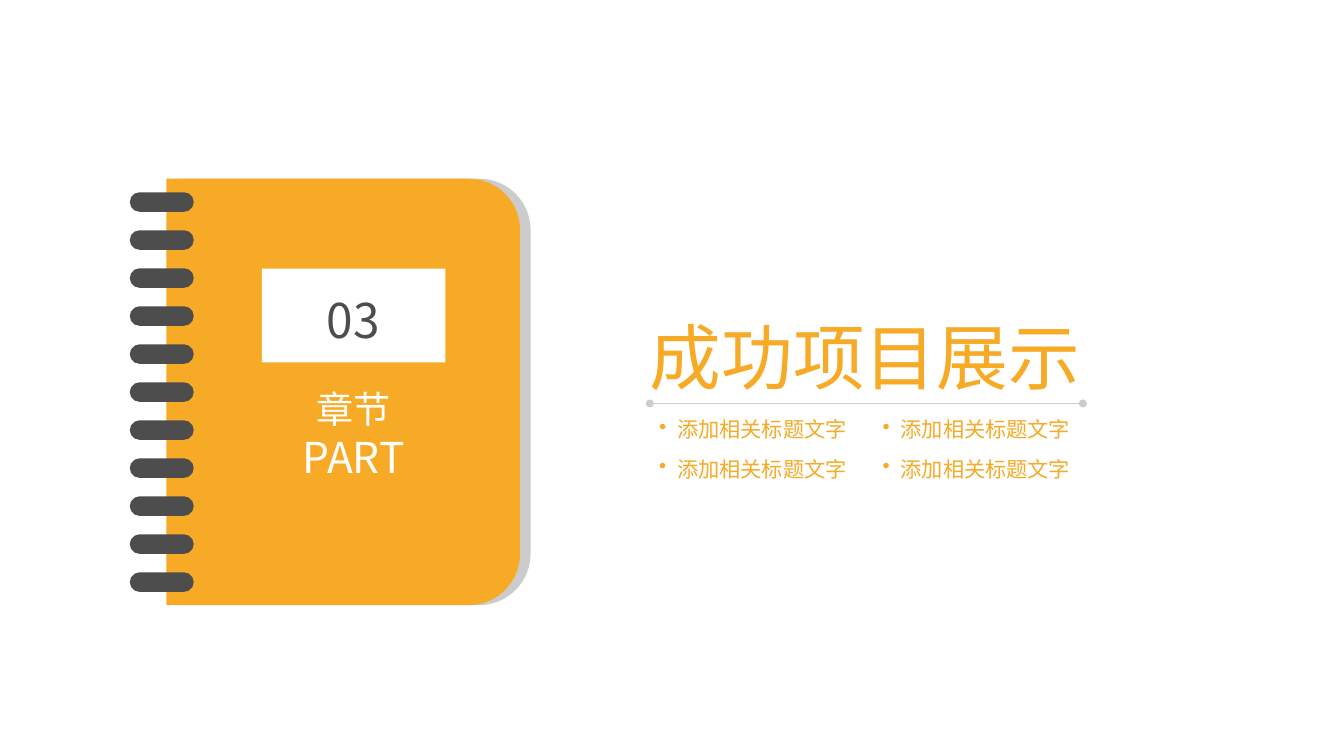
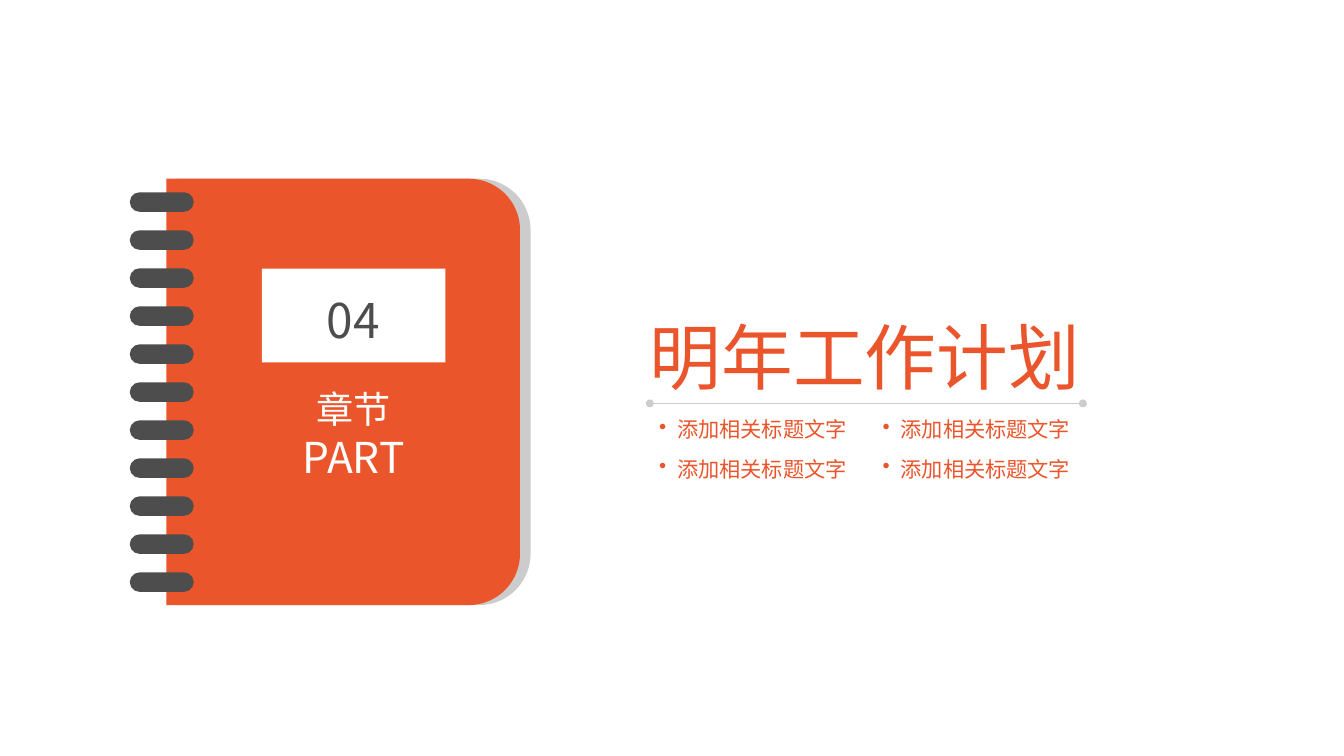
import dataclasses
import itertools
import typing

import lxml.etree
import pptx
import pptx.dml.color
import pptx.enum.shapes
import pptx.enum.text
import pptx.oxml.ns
import pptx.util

Cm = pptx.util.Cm
SHAPES = pptx.enum.shapes.MSO_SHAPE
FONT_NAME = "Noto Sans CJK SC"
WHITE = "FFFFFF"
DARK_GREY = "4D4D4D"
LIGHT_GREY = "CCCCCC"
TEXT_LEFT = 17.27
RULE_RIGHT = 28.78
RULE_TOP = 10.72
RING_COUNT = 11
RING_PITCH = 1.01


@dataclasses.dataclass(frozen=True)
class Box:
    left: float
    top: float
    width: float
    height: float

    def lengths(self) -> tuple[pptx.util.Length, ...]:
        return Cm(self.left), Cm(self.top), Cm(self.width), Cm(self.height)


@dataclasses.dataclass(frozen=True)
class Line:
    text: str
    size: int
    color: str
    centered: bool = False
    bulleted: bool = False


@dataclasses.dataclass(frozen=True)
class Section:
    number: str
    title: str
    color: str
    topics: tuple[str, ...]


SECTIONS = (
    Section("03", "成功项目展示", "F6AA26", ("添加相关标题文字",) * 4),
    Section("04", "明年工作计划", "EA552B", ("添加相关标题文字",) * 4),
)


def rgb(color: str) -> pptx.dml.color.RGBColor:
    return pptx.dml.color.RGBColor.from_string(color)


def add_element(parent: typing.Any, tag: str, **attributes: str) -> typing.Any:
    return lxml.etree.SubElement(parent, pptx.oxml.ns.qn(tag), attributes)


def add_filled_shape(shapes: typing.Any, kind: typing.Any, box: Box, color: str) -> typing.Any:
    shape = shapes.add_shape(kind, *box.lengths())
    shape.shadow.inherit = False
    shape.fill.solid()
    shape.fill.fore_color.rgb = rgb(color)
    shape.line.fill.background()
    return shape


def format_paragraph(paragraph: typing.Any, line: Line) -> None:
    paragraph.text = line.text
    properties = paragraph._p.get_or_add_pPr()
    if line.centered:
        paragraph.alignment = pptx.enum.text.PP_ALIGN.CENTER
    if line.bulleted:
        indent = Cm(0.48)
        properties.set("marL", str(indent))
        properties.set("indent", str(-indent))
        add_element(properties, "a:buChar", char="•")
    font = paragraph.font
    font.size = pptx.util.Pt(line.size)
    font.color.rgb = rgb(line.color)
    font.name = FONT_NAME
    defaults = properties.find(pptx.oxml.ns.qn("a:defRPr"))
    add_element(defaults, "a:ea", typeface=FONT_NAME)


def add_text(shapes: typing.Any, box: Box, *lines: Line, padded: bool = False) -> None:
    frame = shapes.add_textbox(*box.lengths()).text_frame
    frame.word_wrap = not padded
    frame.auto_size = pptx.enum.text.MSO_AUTO_SIZE.SHAPE_TO_FIT_TEXT
    if not padded:
        frame.margin_left = frame.margin_right = Cm(0)
        frame.margin_top = frame.margin_bottom = Cm(0)
    for index, line in enumerate(lines):
        paragraph = frame.add_paragraph() if index else frame.paragraphs[0]
        format_paragraph(paragraph, line)


def add_rule(slide: typing.Any) -> None:
    connector = slide.shapes.add_connector(
        pptx.enum.shapes.MSO_CONNECTOR.STRAIGHT,
        Cm(TEXT_LEFT), Cm(RULE_TOP), Cm(RULE_RIGHT), Cm(RULE_TOP),
    )
    connector.line.color.rgb = rgb(LIGHT_GREY)
    connector.line.width = pptx.util.Pt(1)
    outline = connector.line._get_or_add_ln()
    add_element(outline, "a:headEnd", type="oval")
    add_element(outline, "a:tailEnd", type="oval")
    add_element(connector._element.spPr, "a:effectLst")


def add_page(shapes: typing.Any, box: Box, color: str) -> None:
    inset = (box.width - box.height) / 2
    upright = Box(box.left + inset, box.top - inset, box.height, box.width)
    page = add_filled_shape(shapes, SHAPES.ROUND_2_SAME_RECTANGLE, upright, color)
    page.adjustments[0] = 0.145
    page.rotation = 90


def add_notebook(slide: typing.Any, section: Section) -> None:
    shapes = slide.shapes.add_group_shape().shapes
    add_page(shapes, Box(4.7, 4.75, 9.4, 11.33), LIGHT_GREY)
    add_page(shapes, Box(4.42, 4.75, 9.4, 11.33), section.color)
    add_filled_shape(shapes, SHAPES.RECTANGLE, Box(6.96, 7.14, 4.88, 2.49), WHITE)
    for index in range(RING_COUNT):
        box = Box(3.45, 5.11 + index * RING_PITCH, 1.7, 0.52)
        ring = add_filled_shape(shapes, SHAPES.ROUNDED_RECTANGLE, box, DARK_GREY)
        ring.adjustments[0] = 0.5
    add_text(shapes, Box(7.09, 7.72, 4.6, 1.55), Line(section.number, 36, DARK_GREY, centered=True))
    add_text(
        shapes, Box(7.47, 10.26, 3.86, 2.84),
        Line("章节", 28, WHITE, centered=True),
        Line("PART", 32, WHITE, centered=True),
    )


def add_section_slide(presentation: typing.Any, section: Section) -> None:
    slide = presentation.slides.add_slide(presentation.slide_layouts[6])
    add_rule(slide)
    add_text(slide.shapes, Box(TEXT_LEFT, 8.31, 12.42, 2.31), Line(section.title, 54, section.color))
    cells = itertools.product(range(2), range(2))
    for (row, column), topic in zip(cells, section.topics):
        box = Box(TEXT_LEFT + column * 5.94, 10.95 + row * 1.04, 5.56, 0.94)
        add_text(slide.shapes, box, Line(topic, 16, section.color, bulleted=True), padded=True)
    add_notebook(slide, section)


def main() -> None:
    presentation = pptx.Presentation()
    presentation.slide_width = Cm(35.72)
    presentation.slide_height = Cm(20.09)
    for section in SECTIONS:
        add_section_slide(presentation, section)
    presentation.save("out.pptx")


if __name__ == "__main__":
    main()
